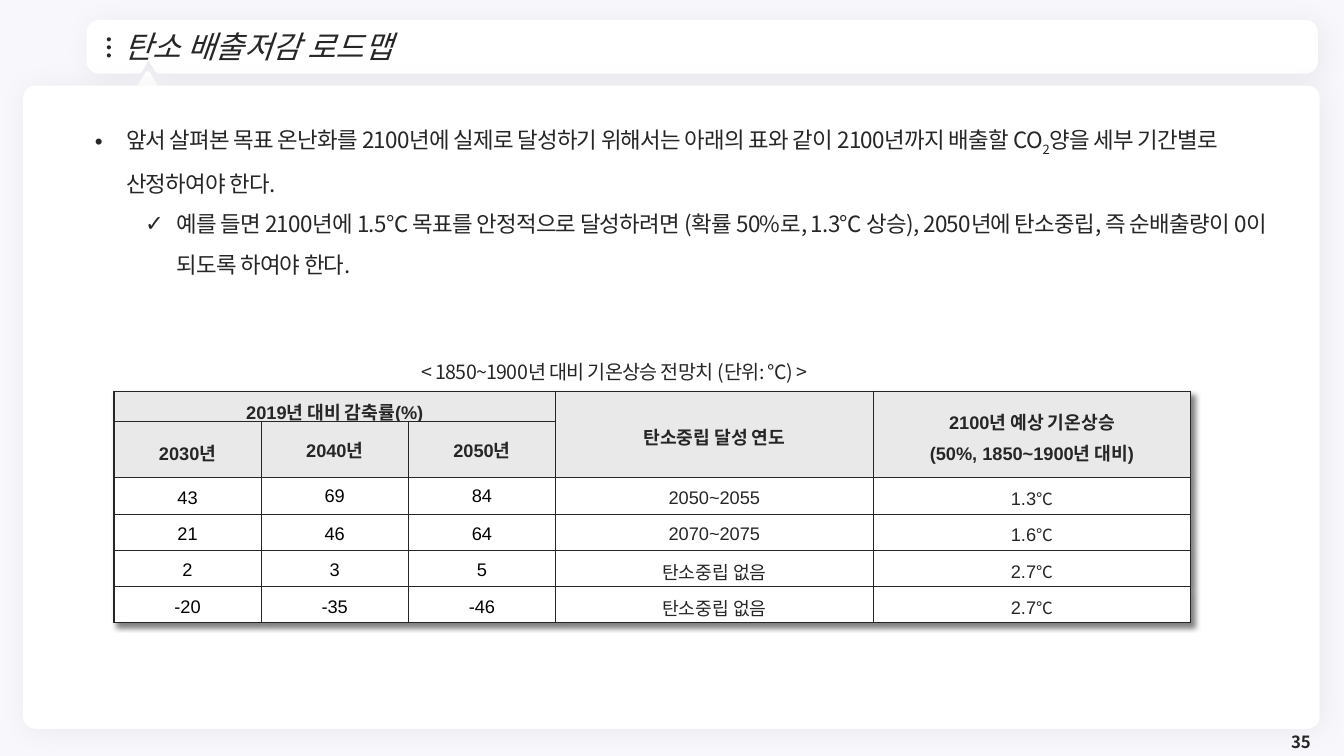
import math

from lxml import etree
from pptx import Presentation
from pptx import util as u
from pptx.dml.color import RGBColor
from pptx.enum import shapes, text
from pptx.oxml import ns

INK = RGBColor(0x26, 0x26, 0x26)
BLACK = RGBColor(0, 0, 0)
WHITE = RGBColor(255, 255, 255)
HEAD_GREY = RGBColor(0xE9, 0xE9, 0xE9)
BACKDROP = RGBColor(0xF8, 0xF7, 0xFC)
HANGUL = "Noto Sans CJK KR"
CENTER = text.PP_ALIGN.CENTER
MIDDLE = text.MSO_ANCHOR.MIDDLE

TITLE = {"size": u.Pt(22), "name": HANGUL, "italic": True, "bold": False}
NUMBER = {"size": u.Pt(12), "name": HANGUL, "bold": True}
BODY = {"size": u.Pt(16), "name": HANGUL}
CAPTION = {"size": u.Pt(14), "name": HANGUL}
HEAD = {"size": u.Pt(13), "name": "Arial", "bold": True}
CELL = {"size": u.Pt(13), "name": "Arial", "bold": False}
DEGREE = {"size": u.Pt(12), "name": HANGUL, "bold": False}

HEADINGS = {
    (0, 0): ["2019년 대비 감축률(%)"],
    (0, 3): ["탄소중립 달성 연도"],
    (0, 4): ["2100년 예상 기온상승", "(50%, 1850~1900년 대비)"],
    (1, 0): ["2030년"],
    (1, 1): ["2040년"],
    (1, 2): ["2050년"],
}
SCENARIOS = [
    ["43", "69", "84", "2050~2055", "1.3"],
    ["21", "46", "64", "2070~2075", "1.6"],
    ["2", "3", "5", "탄소중립 없음", "2.7"],
    ["-20", "-35", "-46", "탄소중립 없음", "2.7"],
]


def inches(*lengths):
    return [u.Inches(length) for length in lengths]


def add_xml(parent, tag, index=None, **attributes):
    node = etree.Element(ns.qn(tag), attributes)
    parent.insert(len(parent) if index is None else index, node)
    return node


def add_span(para, words, style, color=INK, tight=False, baseline=None):
    span = para.add_run()
    span.text = words
    for key, value in style.items():
        setattr(span.font, key, value)
    span.font.color.rgb = color
    props = span.font._element
    if tight:
        props.set("spc", "-50")
    if baseline:
        props.set("baseline", str(baseline))
    add_xml(props, "a:ea", typeface=HANGUL)


def set_frame(frame, **values):
    for key, value in {"word_wrap": True, **values}.items():
        setattr(frame, key, value)


def set_para(para, **values):
    for key, value in {"space_before": u.Pt(0), **values}.items():
        setattr(para, key, value)


def add_shadow(effects, blur, distance, alpha):
    shadow = add_xml(effects, "a:outerShdw", blurRad=str(u.Pt(blur)), dist=str(u.Pt(distance)),
                     dir="2700000", algn="tl", rotWithShape="0")
    color = add_xml(shadow, "a:srgbClr", val=str(BLACK))
    add_xml(color, "a:alpha", val=str(alpha * 1000))


def paint(shape, color, line=None, shadow=False):
    shape.shadow.inherit = False
    shape.fill.solid()
    shape.fill.fore_color.rgb = color
    if line:
        shape.line.color.rgb = color
        shape.line.width = u.Pt(line)
        add_xml(shape.line._ln, "a:round")
    else:
        shape.line.fill.background()
    if shadow:
        add_shadow(shape._element.spPr.find(ns.qn("a:effectLst")), 20, 3, 5)


def add_preset(page, kind, box, **look):
    shape = page.shapes.add_shape(kind, *inches(*box))
    paint(shape, WHITE if kind != shapes.MSO_SHAPE.OVAL else INK, **look)
    return shape


def move_forward(page, holder, box):
    holder.left, holder.top, holder.width, holder.height = inches(*box)
    page.shapes.element.append(holder._element)


def corner(x, y, radius, start):
    angles = [math.radians(start + 15 * step) for step in range(7)]
    return [(x + radius * math.cos(a), y + radius * math.sin(a)) for a in angles]


def add_header(page, box):
    left, top, width, height = box
    right, bottom, radius = left + width, top + height, 0.07
    notch = [(left + 0.67, bottom), (left + 0.56, bottom - 0.18), (left + 0.46, bottom)]
    outline = (corner(right - radius, top + radius, radius, -90)
               + corner(right - radius, bottom - radius, radius, 0) + notch
               + corner(left + radius, bottom - radius, radius, 90)
               + corner(left + radius, top + radius, radius, 180))
    points = [tuple(inches(*point)) for point in outline]
    builder = page.shapes.build_freeform(*points[0])
    builder.add_line_segments(points[1:], close=True)
    paint(builder.convert_to_shape(), WHITE, line=7.25, shadow=True)
    for step in range(3):
        add_preset(page, shapes.MSO_SHAPE.OVAL, (left + 0.15, top + 0.12 + 0.08 * step, 0.04, 0.04))
    add_preset(page, shapes.MSO_SHAPE.ISOSCELES_TRIANGLE, (left + 0.44, top + 0.48, 0.23, 0.2), line=3.75)
    title = page.shapes.title
    move_forward(page, title, (left + 0.22, top + 0.1, 11.41, 0.26))
    set_frame(title.text_frame, vertical_anchor=MIDDLE, auto_size=text.MSO_AUTO_SIZE.NONE)
    para = title.text_frame.paragraphs[0]
    set_para(para, alignment=text.PP_ALIGN.LEFT, line_spacing=0.9)
    add_span(para, "탄소 배출저감 로드맵", TITLE)


def add_panel(page, box):
    panel = add_preset(page, shapes.MSO_SHAPE.ROUNDED_RECTANGLE, box, shadow=True)
    panel.adjustments[0] = 0.019


def add_bullets(page, box):
    holder = page.placeholders[1]
    move_forward(page, holder, box)
    frame = holder.text_frame
    set_frame(frame, vertical_anchor=text.MSO_ANCHOR.TOP, auto_size=text.MSO_AUTO_SIZE.NONE)
    points = [
        ("•", 0.41, [("앞서 살펴본 목표 온난화를 2100년에 실제로 달성하기 위해서는 아래의 표와 같이 "
                      "2100년까지 배출할 CO", None), ("2", -25000),
                     ("양을 세부 기간별로 산정하여야 한다.", None)]),
        ("✓", 0.91, [("예를 들면 2100년에 1.5℃ 목표를 안정적으로 달성하려면 (확률 50%로, 1.3℃ 상승), "
                      "2050년에 탄소중립, 즉 순배출량이 0이 되도록 하여야 한다.", None)]),
    ]
    for level, (mark, margin, pieces) in enumerate(points):
        para = frame.add_paragraph() if level else frame.paragraphs[0]
        set_para(para, level=level, line_spacing=1.5)
        props = para._p.get_or_add_pPr()
        props.set("marL", str(u.Inches(margin)))
        props.set("indent", str(u.Inches(-0.31)))
        add_xml(props, "a:buChar", char=mark)
        for words, baseline in pieces:
            add_span(para, words, BODY, tight=True, baseline=baseline)


def add_label(page, box, words, style, alignment, **look):
    frame = page.shapes.add_textbox(*inches(*box)).text_frame
    set_frame(frame, vertical_anchor=MIDDLE)
    set_para(frame.paragraphs[0], alignment=alignment)
    add_span(frame.paragraphs[0], words, style, **look)


def format_cell(cell, row, column):
    cell.fill.solid()
    cell.fill.fore_color.rgb = HEAD_GREY if row < 2 else WHITE
    cell.margin_left = cell.margin_right = u.Inches(0.07)
    cell.margin_top = cell.margin_bottom = u.Inches(0.02)
    cell.vertical_anchor = MIDDLE
    edges = {"L": column == 0, "R": column == 4, "T": row == 0, "B": row == 5}
    for index, (side, outer) in enumerate(edges.items()):
        line = add_xml(cell._tc.tcPr, f"a:ln{side}", index, w=str(u.Pt(1 if outer else 0.5)))
        add_xml(add_xml(line, "a:solidFill"), "a:srgbClr", val=str(INK))


def add_forecast_table(page, box):
    table = page.shapes.add_table(6, 5, *inches(*box)).table
    table.first_row = table.horz_banding = False
    add_shadow(add_xml(table._tbl.tblPr, "a:effectLst", 0), 4, 3, 50)
    for column, width in enumerate([1.46] * 3 + [3.15] * 2):
        table.columns[column].width = u.Inches(width)
    for row, height in enumerate([0.3, 0.55] + [0.36] * 4):
        table.rows[row].height = u.Inches(height)
        for column in range(5):
            cell = table.cell(row, column)
            format_cell(cell, row, column)
            lines = HEADINGS.get((row, column), []) if row < 2 else [SCENARIOS[row - 2][column]]
            for number, words in enumerate(lines):
                para = cell.text_frame.add_paragraph() if number else cell.text_frame.paragraphs[0]
                single = row in (1, 2) and column in (1, 2)
                set_para(para, alignment=CENTER, line_spacing=1.0 if single else 1.2)
                dark = row > 1 and column < 3
                add_span(para, words, HEAD if row < 2 else CELL, BLACK if dark else INK)
                if row > 1 and column == 4:
                    add_span(para, "℃", DEGREE, tight=True)
    for first, last in [((0, 0), (0, 2)), ((0, 3), (1, 3)), ((0, 4), (1, 4))]:
        table.cell(*first).merge(table.cell(*last))


def main():
    deck = Presentation()
    deck.slide_width, deck.slide_height = inches(13.33, 7.5)
    page = deck.slides.add_slide(deck.slide_layouts[1])
    page.background.fill.solid()
    page.background.fill.fore_color.rgb = BACKDROP
    add_header(page, (0.91, 0.25, 12.11, 0.43))
    add_panel(page, (0.23, 0.85, 12.86, 6.38))
    add_bullets(page, (0.74, 1.05, 12.29, 2.47))
    add_label(page, (2.74, 3.52, 6.71, 0.34), "< 1850~1900년 대비 기온상승 전망치 (단위: ℃) >",
              CAPTION, CENTER, tight=True)
    add_forecast_table(page, (1.13, 3.88, 10.68, 2.29))
    add_label(page, (10.1, 7.23, 3, 0.26), "35", NUMBER, text.PP_ALIGN.RIGHT)
    deck.save("out.pptx")


if __name__ == "__main__":
    main()
